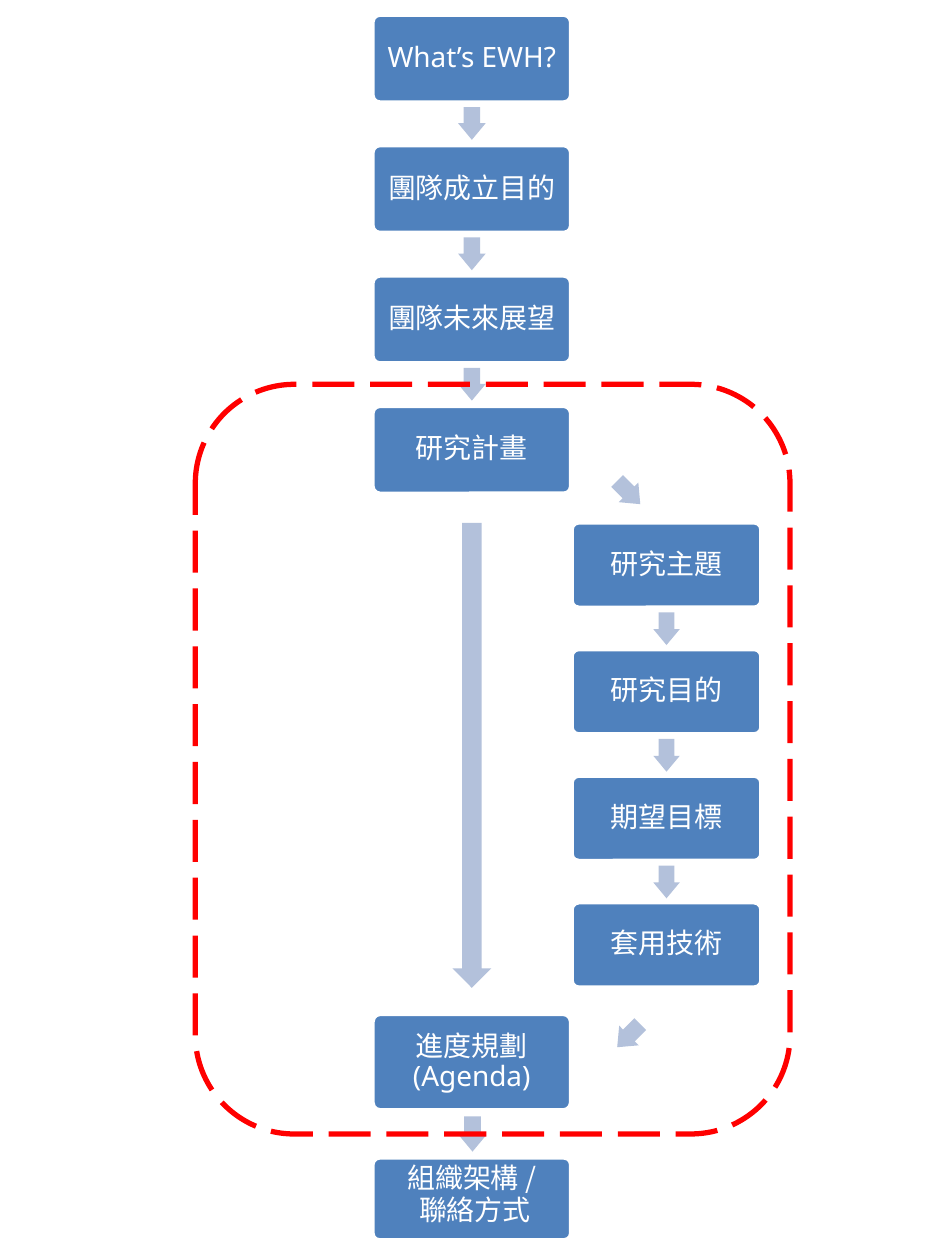
from dataclasses import dataclass

from lxml.etree import SubElement
from pptx import Presentation
from pptx.dml.color import RGBColor
from pptx.enum.dml import MSO_LINE_DASH_STYLE as Dash
from pptx.enum.shapes import MSO_SHAPE as Shape
from pptx.enum.text import MSO_ANCHOR as Anchor, PP_ALIGN as Align
from pptx.oxml.ns import qn
from pptx.util import Inches, Pt


@dataclass(frozen=True)
class Theme:
    box: RGBColor = RGBColor.from_string("4F81BD")
    arrow: RGBColor = RGBColor.from_string("B3C1DB")
    white: RGBColor = RGBColor.from_string("FFFFFF")
    frame: RGBColor = RGBColor.from_string("FF0000")
    latin: str = "Noto Sans"
    chinese: str = "Noto Sans CJK SC"
    size: Pt = Pt(16)
    after: Pt = Pt(5.6)


def apply(target, values):
    for name, value in values.items():
        setattr(target, name, value)


class FlowChart:
    def __init__(self, page, theme):
        self.page, self.theme = page, theme

    def shape(self, kind, place, fill=None, line=None, width=0, adjust=()):
        item = self.page.shapes.add_shape(kind, *map(Inches, place))
        item.shadow.inherit = False
        for ink, color in ((item.fill, fill), (item.line.fill, line)):
            if color is None:
                ink.background()
            else:
                ink.solid()
                ink.fore_color.rgb = color
        if line is not None:
            item.line.width = Pt(width)
        for index, value in enumerate(adjust):
            item.adjustments[index] = value
        return item

    def box(self, place, lines, spacing=0.9):
        theme = self.theme
        item = self.shape(Shape.ROUNDED_RECTANGLE, place, theme.box,
                          theme.white, 2, [0.08])
        frame = item.text_frame
        apply(frame, dict(word_wrap=True, vertical_anchor=Anchor.MIDDLE,
                          margin_left=Inches(0.08), margin_right=Inches(0.08),
                          margin_top=Inches(0.08), margin_bottom=Inches(0.08)))
        for index, pieces in enumerate(lines):
            para = frame.add_paragraph() if index else frame.paragraphs[0]
            apply(para, dict(alignment=Align.CENTER, line_spacing=spacing,
                             space_after=theme.after))
            for text in pieces:
                self.span(para, text)

    def span(self, para, text):
        theme = self.theme
        chinese = any("\u4e00" <= letter <= "\u9fff" for letter in text)
        span = para.add_run()
        span.text = text
        apply(span.font, dict(size=theme.size,
                              name=theme.chinese if chinese else theme.latin))
        span.font.color.rgb = theme.white
        east = SubElement(span.font._element, qn("a:ea"))
        east.set("typeface", theme.chinese)

    def arrow(self, place, rotation=0, adjust=(0.6, 0.6)):
        item = self.shape(Shape.DOWN_ARROW, place, self.theme.arrow,
                          adjust=adjust)
        item.rotation = rotation

    def column(self, left, top, width, height, step, arrow_width, titles):
        for index, title in enumerate(titles):
            y = top + index * step
            self.box((left, y, width, height), [[title]])
            if index < len(titles) - 1:
                self.arrow((left + (width - arrow_width) / 2,
                            y + height + 0.04, arrow_width, 0.26))

    def frame(self, place):
        item = self.shape(Shape.ROUNDED_RECTANGLE, place,
                          line=self.theme.frame, width=3)
        item.line.dash_style = Dash.LONG_DASH


deck = Presentation()
apply(deck, dict(slide_width=Inches(7.5), slide_height=Inches(10)))
page = deck.slides.add_slide(deck.slide_layouts[6])
chart = FlowChart(page, Theme())

chart.column(2.96, 0.12, 1.57, 0.69, 1.035, 0.22,
             ["What’s EWH?", "團隊成立目的", "團隊未來展望", "研究計畫"])
chart.box((2.96, 8.05, 1.57, 0.76), [["進度規劃 ", "(Agenda)"]])
chart.arrow((3.64, 8.86, 0.22, 0.28))
chart.box((2.96, 9.19, 1.57, 0.65), [["組織架構 /"], [" 聯絡方式"]], Pt(13))
chart.column(4.54, 4.15, 1.5, 0.67, 1.005, 0.21,
             ["研究主題", "研究目的", "期望目標", "套用技術"])
chart.arrow((4.88, 3.78, 0.22, 0.26), 315)
chart.arrow((4.88, 8.09, 0.22, 0.26), 45)
chart.arrow((3.59, 4.15, 0.31, 3.69), adjust=(0.5, 0.5))
chart.frame((1.55, 3.05, 4.72, 5.95))

deck.save("out.pptx")
